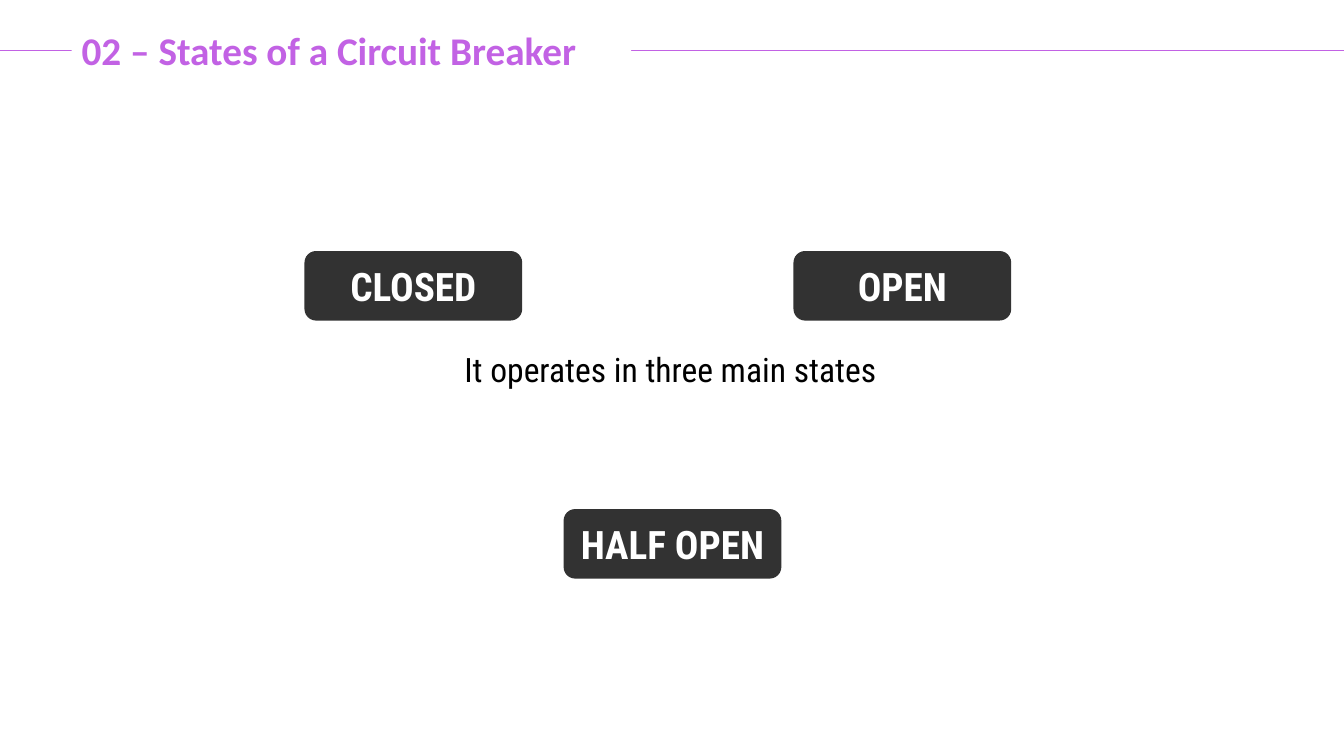
import pptx
import pptx.util
import pptx.dml.color
import pptx.enum.shapes
import pptx.enum.text
import pptx.oxml.ns
import lxml.etree

WIDE, HIGH = 13.33, 7.5
COLORS = {"accent": "C262E4", "box": "323232", "white": "FFFFFF", "black": "000000"}
STATES = [("CLOSED", 3.02, 2.49), ("OPEN", 7.87, 2.49), ("HALF OPEN", 5.59, 5.05)]
ALIGN = pptx.enum.text.PP_ALIGN


def color(name):
    """Return the named colour."""
    return pptx.dml.color.RGBColor.from_string(COLORS[name])


def inches(*sizes):
    """Turn numbers into lengths."""
    return [pptx.util.Inches(size) for size in sizes]


def write(shape, text, size, font, tint, bold=False, align=ALIGN.CENTER):
    """Fill a shape with one formatted line of text."""
    frame = shape.text_frame
    frame.text = text
    frame.word_wrap = True
    frame.auto_size = pptx.enum.text.MSO_AUTO_SIZE.NONE
    frame.vertical_anchor = pptx.enum.text.MSO_ANCHOR.MIDDLE
    line = frame.paragraphs[0]
    line.alignment = align
    face = line.runs[0].font
    face.name, face.size, face.bold = font, pptx.util.Pt(size), bold
    face.color.rgb = color(tint)


def header(slide, left, top, width, height):
    """Draw the rule across the slide and the title over it."""
    level = top + height / 2
    rule = slide.shapes.add_connector(
        pptx.enum.shapes.MSO_CONNECTOR.STRAIGHT, *inches(0, level, WIDE, level))
    rule.line.color.rgb = color("accent")
    rule.line.width = pptx.util.Pt(0.5)
    lxml.etree.SubElement(rule._element.spPr, pptx.oxml.ns.qn("a:effectLst"))
    title = slide.shapes.title
    title.left, title.top, title.width, title.height = inches(left, top, width, height)
    title.fill.solid()
    title.fill.fore_color.rgb = color("white")
    write(title, "02 – States of a Circuit Breaker", 28, "Calibri", "accent", True, ALIGN.LEFT)
    tree = slide.shapes._spTree
    tree.remove(title._element)
    tree.append(title._element)


def state(slide, name, left, top, width, height):
    """Draw one state as a dark rounded box."""
    box = slide.shapes.add_shape(
        pptx.enum.shapes.MSO_SHAPE.ROUNDED_RECTANGLE, *inches(left, top, width, height))
    box.shadow.inherit = False
    box.fill.solid()
    box.fill.fore_color.rgb = color("box")
    box.line.fill.background()
    write(box, name, 28, "Roboto Condensed", "white", True)
    box.text_frame.margin_left = box.text_frame.margin_right = 0


def caption(slide, left, top, width, height):
    """Write the centred sentence between the states."""
    note = slide.shapes.add_textbox(*inches(left, top, width, height))
    write(note, "It operates in three main states", 24, "Roboto Condensed", "black")


def main():
    """Build and save the slide."""
    deck = pptx.Presentation()
    deck.slide_width, deck.slide_height = inches(WIDE, HIGH)
    slide = deck.slides.add_slide(deck.slide_layouts.get_by_name("Title Only"))
    header(slide, 0.71, 0.21, 5.55, 0.57)
    for name, left, top in STATES:
        state(slide, name, left, top, 2.16, 0.69)
    caption(slide, 1.38, 3.41, 10.54, 0.5)
    deck.save("out.pptx")


if __name__ == "__main__":
    main()
